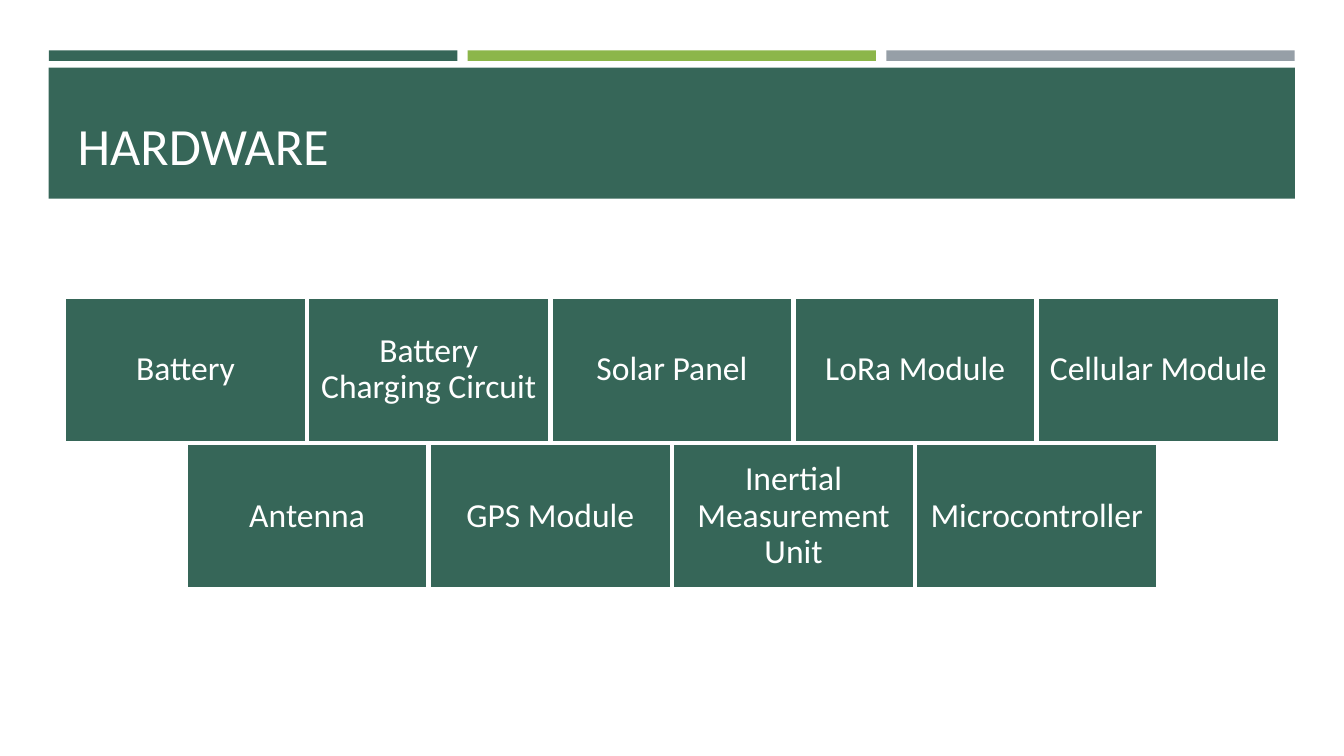
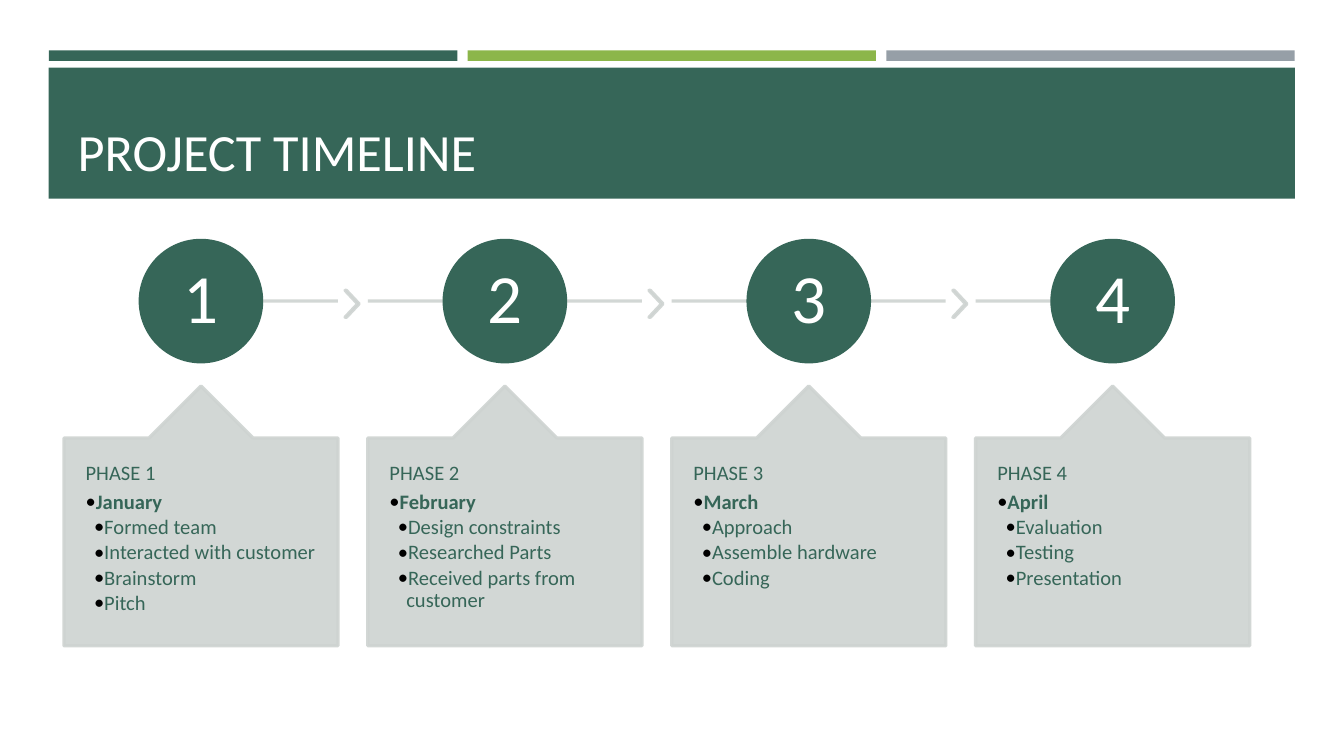
from lxml import etree
from pptx import Presentation
from pptx.dml.color import RGBColor
from pptx.enum.shapes import MSO_CONNECTOR, MSO_SHAPE
from pptx.enum.text import MSO_ANCHOR, PP_ALIGN
from pptx.oxml.ns import qn
from pptx.util import Pt

RECT, OVAL = MSO_SHAPE.RECTANGLE, MSO_SHAPE.OVAL
CHEVRON, CALLOUT = MSO_SHAPE.CHEVRON, MSO_SHAPE.UP_ARROW_CALLOUT
STRAIGHT = MSO_CONNECTOR.STRAIGHT
LEFT, CENTER = PP_ALIGN.LEFT, PP_ALIGN.CENTER
MIDDLE, BOTTOM, TOP = MSO_ANCHOR.MIDDLE, MSO_ANCHOR.BOTTOM, MSO_ANCHOR.TOP

# Content
PARTS = [
    ["Battery", "Battery Charging Circuit", "Solar Panel", "LoRa Module",
     "Cellular Module"],
    ["Antenna", "GPS Module", "Inertial Measurement Unit", "Microcontroller"],
]
PHASES = [
    ("January", ["Formed team", "Interacted with customer", "Brainstorm",
                 "Pitch"]),
    ("February", ["Design constraints", "Researched Parts",
                  "Received parts from customer"]),
    ("March", ["Approach", "Assemble hardware", "Coding"]),
    ("April", ["Evaluation", "Testing", "Presentation"]),
]

# Shared style
FONT = "Calibri"
GREEN, LIME, GRAY = "366658", "8CB64A", "969FA7"
PALE, WHITE, BLACK = "CED3D1", "FFFFFF", "000000"
WIDTH, HEIGHT = 720, 405
EDGE = 34.56
STROKE = 1.75


def color(code):
    return RGBColor.from_string(code)


def fade(item, share=90):
    for tint in item._element.spPr.iter(qn("a:srgbClr")):
        etree.SubElement(tint, qn("a:alpha")).set("val", str(share * 1000))


def shape(slide, kind, x, y, w, h, fill, line=None, adj=()):
    item = slide.shapes.add_shape(kind, Pt(x), Pt(y), Pt(w), Pt(h))
    item.shadow.inherit = False
    item.fill.solid()
    item.fill.fore_color.rgb = color(fill)
    if line:
        item.line.color.rgb = color(line)
        item.line.width = Pt(STROKE)
    else:
        item.line.fill.background()
    for i, part in enumerate(adj):
        item.adjustments[i] = part
    return item


def frame(item, anchor, side, top, foot=None):
    box = item.text_frame
    box.word_wrap = True
    box.vertical_anchor = anchor
    box.margin_left = box.margin_right = Pt(side)
    box.margin_top = Pt(top)
    box.margin_bottom = Pt(top if foot is None else foot)


def bullet(para, level):
    para.level = level
    prop = para._p.get_or_add_pPr()
    prop.set("marL", str(Pt(4.5 * level)))
    prop.set("indent", str(-Pt(4.5)))
    mark = etree.SubElement(prop, qn("a:buClr"))
    etree.SubElement(mark, qn("a:srgbClr")).set("val", BLACK)
    for tag, key, value in [("a:buSzPct", "val", "100000"),
                            ("a:buFont", "typeface", FONT),
                            ("a:buChar", "char", "•")]:
        etree.SubElement(prop, qn(tag)).set(key, value)


def write(item, text, size=18, tint=WHITE, bold=False, align=CENTER,
          lead=0.9, after=0, level=0):
    box = item.text_frame
    para = box.paragraphs[0]
    if para.text:
        para = box.add_paragraph()
    para.alignment = align
    para.line_spacing = lead
    para.space_after = Pt(after)
    if level:
        bullet(para, level)
    run = para.add_run()
    run.text = text
    for font in (para.font, run.font):
        font.name = FONT
        font.size = Pt(size)
        font.bold = bold
        font.color.rgb = color(tint)
    # The end mark sets the size of the bullet
    end = etree.SubElement(para._p, qn("a:endParaRPr"))
    end.set("sz", str(size * 100))


def start(deck, title, foot):
    slide = deck.slides.add_slide(deck.slide_layouts[6])
    # Three thin bands over the title block
    for i, fill in enumerate([GREEN, LIME, GRAY]):
        shape(slide, RECT, 26.2 + i * 224.3, 27, 218.8, 5.6, fill)
    shape(slide, RECT, 26.1, 36.2, 667.6, 70.2, GREEN)
    box = slide.shapes.add_textbox(Pt(EDGE), Pt(41.8), Pt(651.6), Pt(59.8))
    frame(box, BOTTOM, 7.2, foot)
    write(box, title, size=28, align=LEFT, lead=1)
    return slide


def hardware(deck):
    slide = start(deck, "HARDWARE", 7.2)
    wide, high, gap = 129.6, 77.76, 0.7
    for r, row in enumerate(PARTS):
        # Each row is centred on the slide
        left = (WIDTH - len(row) * (wide + gap) + gap) / 2
        for c, name in enumerate(row):
            tile = shape(slide, RECT, left + c * (wide + gap),
                         159.2 + r * (high + gap), wide, high, GREEN, WHITE)
            frame(tile, MIDDLE, 5, 5)
            write(tile, name)


def timeline(deck):
    slide = start(deck, "PROJECT TIMELINE", 4)
    wide, step, disc, axis = 146.8, 162.8, 65, 161.3
    last = len(PHASES) - 1
    for i, (month, tasks) in enumerate(PHASES):
        left = EDGE - 0.3 + i * step
        mid = left + wide / 2
        # Track: it runs from the first disc to the last
        rail = slide.shapes.add_connector(
            STRAIGHT, Pt(left if i else mid), Pt(axis),
            Pt(left + wide if i < last else mid), Pt(axis))
        rail.line.color.rgb = color(PALE)
        rail.line.width = Pt(STROKE)
        fade(rail)
        etree.SubElement(rail._element.spPr, qn("a:effectLst"))
        if i < last:
            fade(shape(slide, CHEVRON, left + 150.6, axis - 5.7, 7.5, 14.4,
                       PALE, PALE, [0.9]))
        # Numbered disc
        dot = shape(slide, OVAL, mid - disc / 2, axis - disc / 2, disc, disc,
                    GREEN, GREEN)
        frame(dot, MIDDLE, 2.6, 2.6)
        write(dot, str(i + 1), size=37)
        # Card with the month and its tasks
        card = shape(slide, CALLOUT, left, 206.8, wide, 139.2, PALE, PALE,
                     [0.5, 0.2, 0.2, 1])
        fade(card)
        frame(card, TOP, 11.6, 13)
        look = dict(size=11, tint=GREEN, align=LEFT)
        write(card, f"PHASE {i + 1}", after=3.85, **look)
        write(card, month, bold=True, after=1.65, level=1, **look)
        for task in tasks:
            write(card, task, after=1.65, level=2, **look)


def main():
    deck = Presentation()
    deck.slide_width, deck.slide_height = Pt(WIDTH), Pt(HEIGHT)
    hardware(deck)
    timeline(deck)
    deck.save("out.pptx")


if __name__ == "__main__":
    main()
